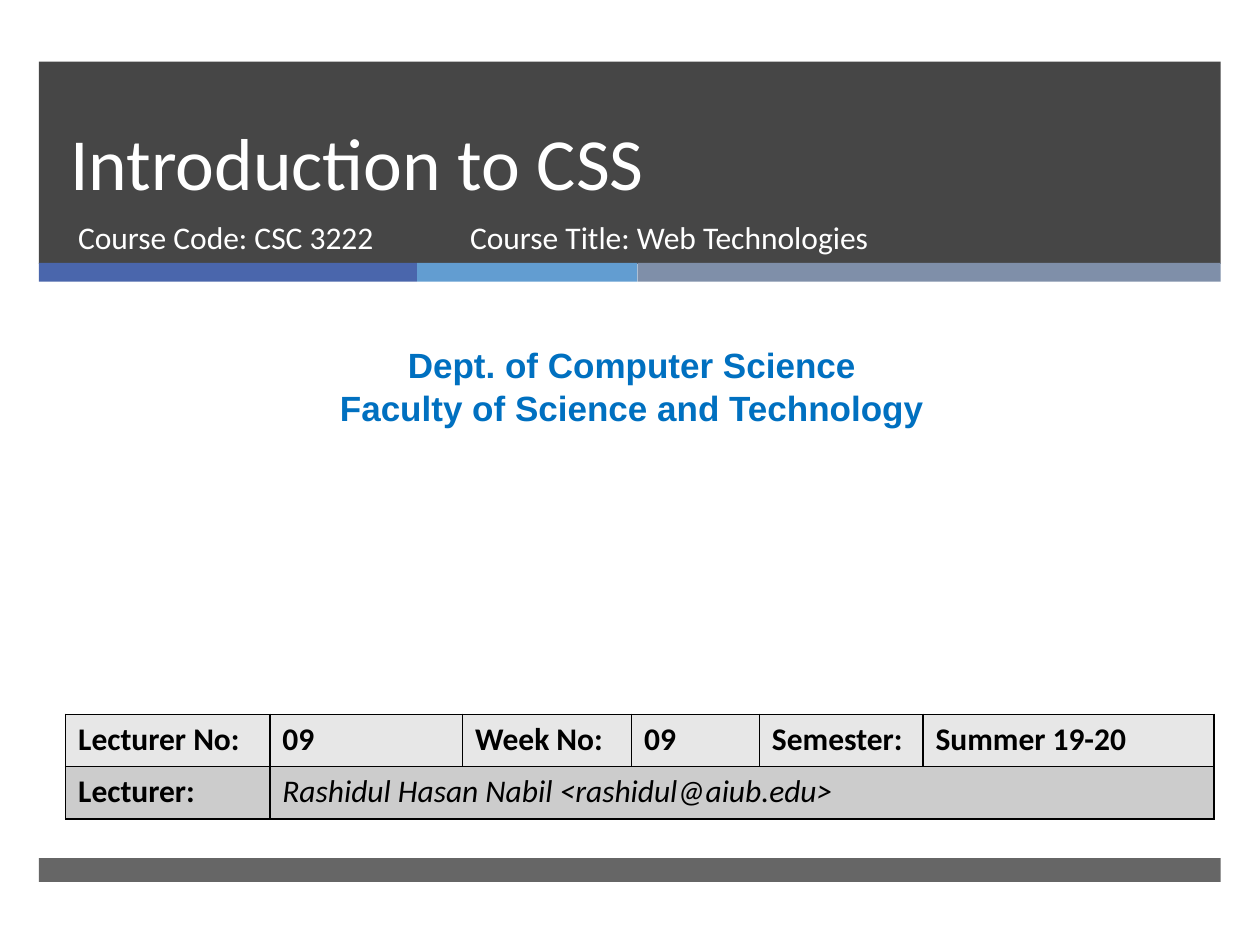
from lxml import etree
from pptx import Presentation
from pptx.dml.color import RGBColor
from pptx.enum import shapes, text
from pptx.oxml import ns
from pptx.util import Pt

THEME = {
    "dark": "262626", "white": "FFFFFF", "black": "000000", "dept": "0070C0",
    "accents": ("4A66AC", "629DD1", "7F8FA9"), "rows": ("E7E7E7", "CCCCCC"),
    "body": "Calibri", "dept_font": "Arial",
    "title_size": 42, "body_size": 18, "dept_size": 20,
}

# Content
TITLE = "Introduction to CSS"
COURSE = [("Course Code: CSC 3222", 37.5, 220), ("Course Title: Web Technologies", 261.5, 328)]
DEPARTMENT = "Dept. of Computer Science\nFaculty of Science and Technology"
LECTURE = [
    ["Lecturer No:", "09", "Week No:", "09", "Semester:", "Summer 19-20"],
    ["Lecturer:", "Rashidul Hasan Nabil <rashidul@aiub.edu>"],
]

# Layout
BAND_LEFT, BAND_WIDTH = 22.3, 675.2
ACCENT_WIDTHS = (216, 126, 333.2)
COLUMN_WIDTHS = (116.7, 110.2, 96.6, 73, 93.5, 166.3)
ROW_HEIGHT = 29.9


def add_bar(page, left, top, width, height, color, opacity=100):
    bar = page.shapes.add_shape(shapes.MSO_SHAPE.RECTANGLE, Pt(left), Pt(top), Pt(width), Pt(height))
    bar.shadow.inherit = False
    bar.line.fill.background()
    bar.fill.solid()
    bar.fill.fore_color.rgb = RGBColor.from_string(color)
    if opacity < 100:
        tint = bar.fill._xPr.find(".//" + ns.qn("a:srgbClr"))
        etree.SubElement(tint, ns.qn("a:alpha"), val=str(opacity * 1000))


def style_text(frame, size, color, font=THEME["body"], bold=False, italic=False):
    for para in frame.paragraphs:
        for span in para.runs:
            span.font.name, span.font.size = font, Pt(size)
            span.font.bold, span.font.italic = bold, italic
            span.font.color.rgb = RGBColor.from_string(color)


def add_text(page, words, left, top, width, height, size, color, **style):
    box = page.shapes.add_textbox(Pt(left), Pt(top), Pt(width), Pt(height))
    frame = box.text_frame
    frame.word_wrap = True
    frame.text = words
    style_text(frame, size, color, **style)
    return frame


def add_borders(cell):
    properties = cell._tc.get_or_add_tcPr()
    for position, side in enumerate(("lnL", "lnR", "lnT", "lnB")):
        line = etree.Element(ns.qn("a:" + side), w=str(Pt(1)))
        fill = etree.SubElement(line, ns.qn("a:solidFill"))
        etree.SubElement(fill, ns.qn("a:srgbClr"), val=THEME["black"])
        properties.insert(position, line)


def add_lecture_table(page):
    row_count, column_count = len(LECTURE), len(COLUMN_WIDTHS)
    table = page.shapes.add_table(row_count, column_count, Pt(37.5), Pt(408.2),
                                  Pt(sum(COLUMN_WIDTHS)), Pt(ROW_HEIGHT * row_count)).table
    for column, width in zip(table.columns, COLUMN_WIDTHS):
        column.width = Pt(width)
    for index, values in enumerate(LECTURE):
        table.rows[index].height = Pt(ROW_HEIGHT)
        for position in range(column_count):
            cell = table.cell(index, position)
            cell.fill.solid()
            cell.fill.fore_color.rgb = RGBColor.from_string(THEME["rows"][index])
            add_borders(cell)
            if position < len(values):
                name = index == 1 and position == 1
                cell.text_frame.text = values[position]
                style_text(cell.text_frame, THEME["body_size"], THEME["black"],
                           bold=not name, italic=name)
    table.cell(1, 1).merge(table.cell(1, column_count - 1))


def main():
    deck = Presentation()
    deck.slide_width, deck.slide_height = Pt(720), Pt(540)
    page = deck.slides.add_slide(deck.slide_layouts[6])

    # Header band, accent strip and footer band
    add_bar(page, BAND_LEFT, 35.2, BAND_WIDTH, 115.6, THEME["dark"], 85)
    left = BAND_LEFT
    for width, color in zip(ACCENT_WIDTHS, THEME["accents"]):
        add_bar(page, left, 150.2, width, 10.8, color)
        left += width
    add_bar(page, BAND_LEFT, 490.3, BAND_WIDTH, 13.7, THEME["dark"], 70)

    # Title and course details
    title = add_text(page, TITLE, 33.2, 35.2, 615, 85.8, THEME["title_size"], THEME["white"])
    title.vertical_anchor = text.MSO_ANCHOR.BOTTOM
    title.paragraphs[0].line_spacing = Pt(46)
    for words, left, width in COURSE:
        add_text(page, words, left, 121, width, 38, THEME["body_size"], THEME["white"])

    # Department
    department = add_text(page, DEPARTMENT, 5.8, 193, 710.6, 55.7, THEME["dept_size"],
                          THEME["dept"], font=THEME["dept_font"], bold=True)
    for para in department.paragraphs:
        para.alignment = text.PP_ALIGN.CENTER

    # Lecture details
    add_lecture_table(page)
    deck.save("out.pptx")


if __name__ == "__main__":
    main()
